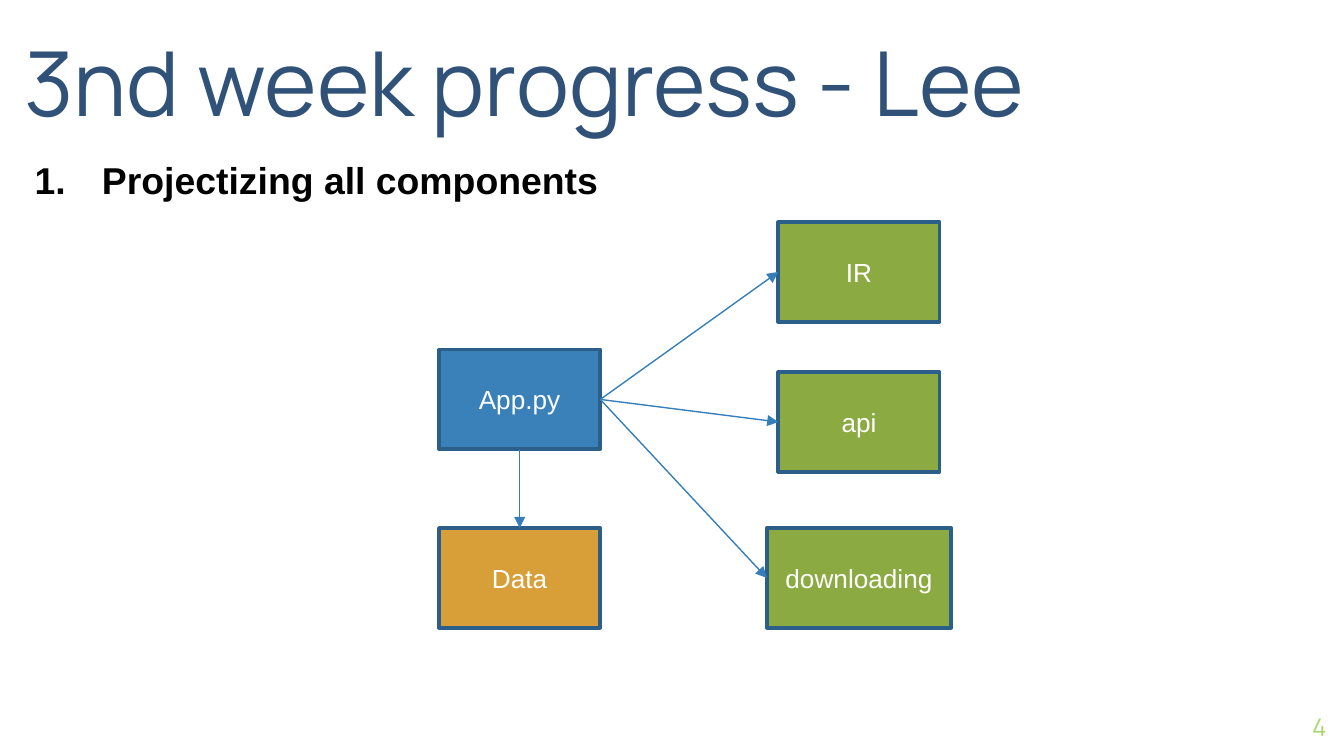
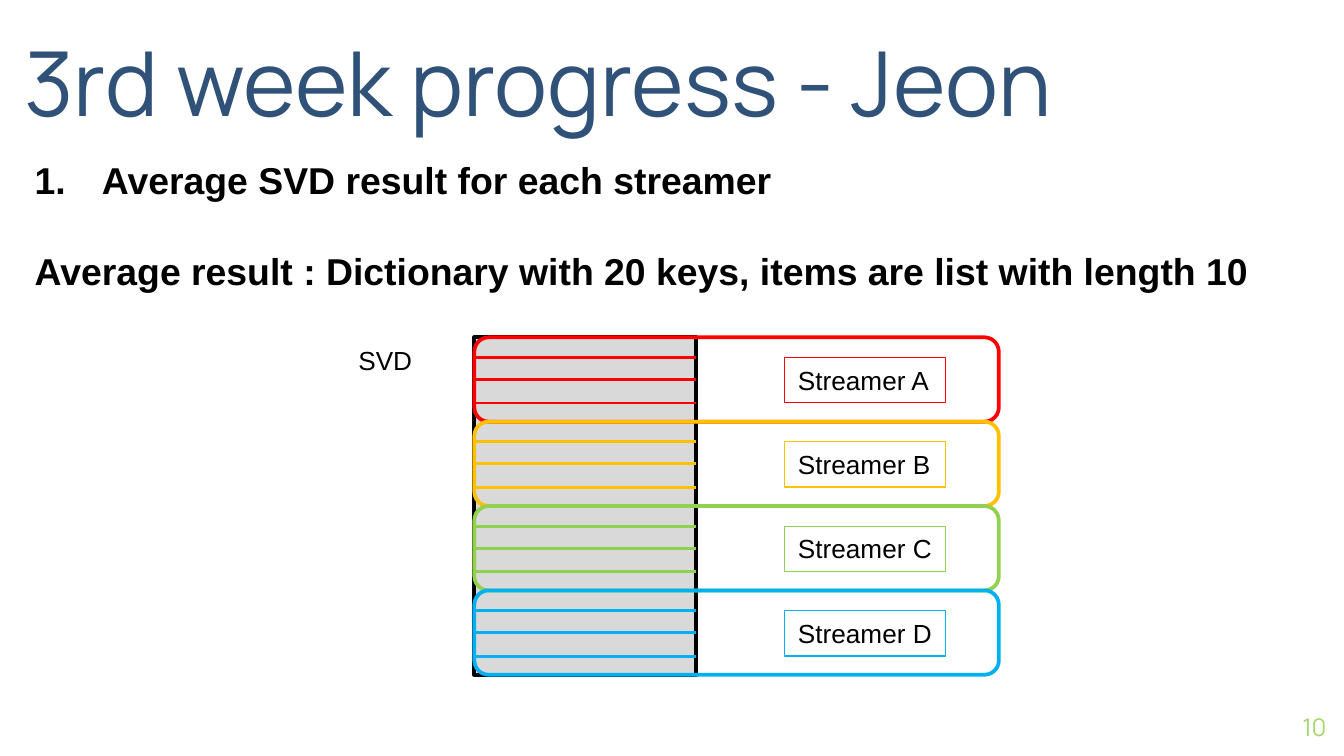
from dataclasses import dataclass

from lxml.etree import SubElement
from pptx import Presentation
from pptx.dml.color import RGBColor
from pptx.enum.shapes import MSO_CONNECTOR, MSO_SHAPE
from pptx.enum.text import MSO_ANCHOR, MSO_AUTO_SIZE, PP_ALIGN
from pptx.oxml.ns import qn
from pptx.util import Pt


@dataclass(frozen=True)
class Theme:
    """Colours, fonts and type sizes shared by the slides."""
    title: str = "305178"
    number: str = "A7D86D"
    ink: str = "000000"
    paper: str = "FFFFFF"
    app: str = "3A81BA"
    module: str = "8BAB42"
    data: str = "D89F39"
    border: str = "2B5F8A"
    arrow: str = "367EB9"
    matrix: str = "D9D9D9"
    streamers: tuple = ("FF0000", "FFC000", "92D050", "00B0F0")
    head_font: str = "Manrope"
    body_font: str = "Arial"
    title_size: float = 48
    body_size: float = 20
    label_size: float = 14
    number_size: float = 13


T = Theme()
TITLE_BOX = (13, 4.3, 610, 67.7)
BODY_BOX = (11.5, 80.6, 697, 92.2)
NUMBER_BOX = (667.4, 373.7, 43.2, 31)
LEFT, RIGHT, TOP, BOTTOM = 1, 3, 0, 2


def rgb(value):
    """Turn a hex string into a colour."""
    return RGBColor.from_string(value)


def add_run(p, text, size, color, font=T.body_font, bold=False):
    """Append one styled run to a paragraph."""
    r = p.add_run()
    r.text = text
    r.font.size, r.font.name, r.font.bold = Pt(size), font, bold
    r.font.color.rgb = rgb(color)


def add_text(shapes, box):
    """Add a wrapping text box and return its frame."""
    tf = shapes.add_textbox(*map(Pt, box)).text_frame
    tf.word_wrap = True
    return tf


def add_plain(shapes, box, text, size, color, anchor, align=PP_ALIGN.LEFT):
    """Add a heading-font line in a box without margins."""
    tf = add_text(shapes, box)
    tf.margin_left = tf.margin_right = tf.margin_top = tf.margin_bottom = 0
    tf.vertical_anchor = anchor
    p = tf.paragraphs[0]
    p.alignment = align
    add_run(p, text, size, color, T.head_font)


def add_label(shapes, box, text, outline=None):
    """Add an unwrapped label, outlined if a colour is given."""
    sp = shapes.add_textbox(*map(Pt, box))
    tf = sp.text_frame
    tf.word_wrap = False
    tf.auto_size = MSO_AUTO_SIZE.SHAPE_TO_FIT_TEXT
    add_run(tf.paragraphs[0], text, T.label_size, T.ink)
    if outline:
        sp.line.color.rgb = rgb(outline)
        sp.line.width = Pt(0.75)


def add_box(shapes, box, line, fill=None, kind=MSO_SHAPE.RECTANGLE):
    """Add an outlined preset shape, hollow unless a fill is given."""
    sp = shapes.add_shape(kind, *map(Pt, box))
    sp.shadow.inherit = False
    if fill:
        sp.fill.solid()
        sp.fill.fore_color.rgb = rgb(fill)
    else:
        sp.fill.background()
    sp.line.color.rgb = rgb(line)
    sp.line.width = Pt(2)
    return sp


def add_line(shapes, x1, y1, x2, y2, color, width):
    """Add a straight connector without a shadow."""
    c = shapes.add_connector(MSO_CONNECTOR.STRAIGHT, *map(Pt, (x1, y1, x2, y2)))
    c.line.color.rgb = rgb(color)
    c.line.width = Pt(width)
    SubElement(c._element.spPr, qn("a:effectLst"))
    return c


def add_arrow(shapes, start, start_site, end, end_site):
    """Join two shapes with an arrow between connection sites."""
    c = add_line(shapes, 0, 0, 0, 0, T.arrow, 0.75)
    c.begin_connect(start, start_site)
    c.end_connect(end, end_site)
    SubElement(c.line._get_or_add_ln(), qn("a:tailEnd"), type="triangle")


def number_paragraph(p):
    """Give a paragraph a black automatic number and hanging indent."""
    pPr = p._p.get_or_add_pPr()
    pPr.set("marL", str(Pt(36)))
    pPr.set("indent", str(-Pt(36)))
    SubElement(SubElement(pPr, qn("a:buClr")), qn("a:srgbClr"), val=T.ink)
    SubElement(pPr, qn("a:buFont"), typeface=T.body_font)
    SubElement(pPr, qn("a:buAutoNum"), type="arabicPeriod")


def add_body(shapes, box, heading, *notes):
    """Add a numbered heading followed by plain bold notes."""
    tf = add_text(shapes, box)
    p = tf.paragraphs[0]
    p.space_before = Pt(2)
    number_paragraph(p)
    add_run(p, heading, T.body_size, T.ink, bold=True)
    for note in notes:
        p = tf.add_paragraph()
        p.space_before = Pt(24.7)
        add_run(p, note, T.body_size, T.ink, bold=True)


def add_progress_slide(prs, title, number, *body):
    """Add a slide with title, body text and page number."""
    s = prs.slides.add_slide(prs.slide_layouts[6])
    s.background.fill.solid()
    s.background.fill.fore_color.rgb = rgb(T.paper)
    add_plain(s.shapes, NUMBER_BOX, number, T.number_size, T.number,
              MSO_ANCHOR.MIDDLE, PP_ALIGN.RIGHT)
    add_body(s.shapes, BODY_BOX, *body)
    add_plain(s.shapes, TITLE_BOX, title, T.title_size, T.title, MSO_ANCHOR.BOTTOM)
    return s


def add_component_diagram(shapes, box):
    """Draw the app, its data and its modules inside the box."""
    x, y, w, h = box
    node_w, node_h, wide_w = 86.4, 53.4, 98.8
    module_mid = x + w - wide_w / 2
    floor = y + h - node_h

    def node(text, mid, top, width, fill):
        """Add one component centred on mid."""
        sp = add_box(shapes, (mid - width / 2, top, width, node_h), T.border, fill)
        tf = sp.text_frame
        tf.word_wrap = True
        tf.vertical_anchor = MSO_ANCHOR.MIDDLE
        tf.paragraphs[0].alignment = PP_ALIGN.CENTER
        add_run(tf.paragraphs[0], text, T.label_size, T.paper)
        return sp

    app = node("App.py", x + node_w / 2, y + 68.3, node_w, T.app)
    modules = [node(text, module_mid, top, width, T.module) for text, top, width in (
        ("IR", y, node_w), ("api", y + 80.4, node_w), ("downloading", floor, wide_w))]
    data = node("Data", x + node_w / 2, floor, node_w, T.data)
    for module in modules:
        add_arrow(shapes, app, RIGHT, module, LEFT)
    add_arrow(shapes, app, BOTTOM, data, TOP)


def add_streamer_matrix(shapes, box):
    """Draw the SVD matrix with one coloured band per streamer."""
    x, y, w, h = box
    matrix_w, label_h = 119, 24.3
    row_h = h / len(T.streamers)
    add_box(shapes, (x, y, matrix_w, h), T.ink, T.matrix)
    rows = [(y + i * row_h, color) for i, color in enumerate(T.streamers)]
    for top, color in rows:
        sp = add_box(shapes, (x, top, w, row_h), color, kind=MSO_SHAPE.ROUNDED_RECTANGLE)
        sp.adjustments[0] = 0.17
    for (top, color), letter in zip(rows, "ABCD"):
        add_label(shapes, (x + 166.3, top + 10.8, 86, label_h), f"Streamer {letter}", color)
        for drop in (10.8, 22.6, 35.2):
            add_line(shapes, x, top + drop, x + matrix_w, top + drop, color, 1.5)
    add_label(shapes, (x - 69.2, y, 44, label_h), "SVD")


def main():
    """Build and save the deck."""
    prs = Presentation()
    prs.slide_width, prs.slide_height = Pt(720), Pt(405)
    s = add_progress_slide(prs, "3nd week progress - Lee", "4",
                           "Projectizing all components")
    add_component_diagram(s.shapes, (235.2, 119, 274.4, 217.3))
    s = add_progress_slide(prs, "3rd week progress - Jeon", "10",
                           "Average SVD result for each streamer",
                           "Average result : Dictionary with 20 keys, "
                           "items are list with length 10")
    add_streamer_matrix(s.shapes.add_group_shape().shapes, (254.1, 180.7, 281, 180.8))
    prs.save("out.pptx")


main()
